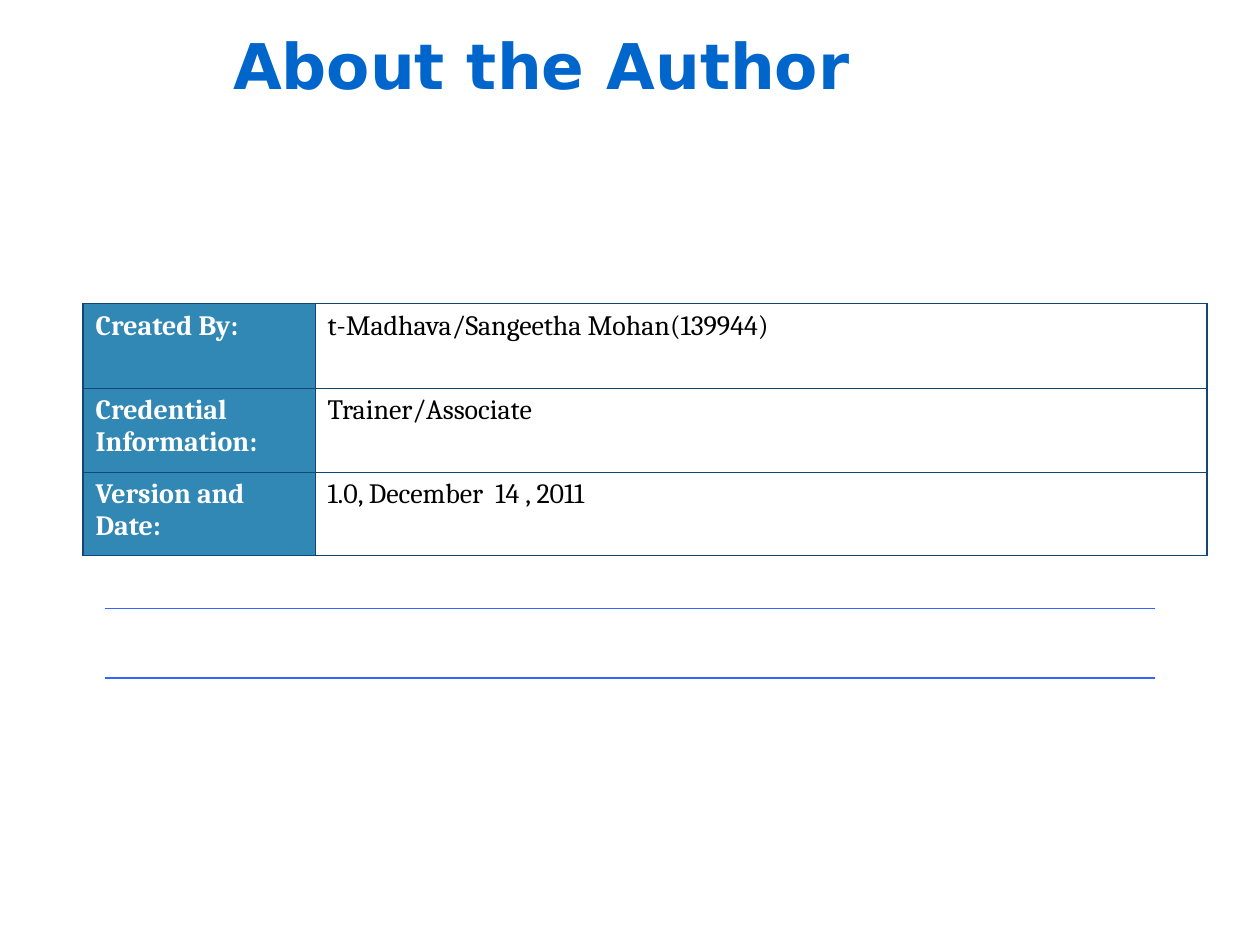
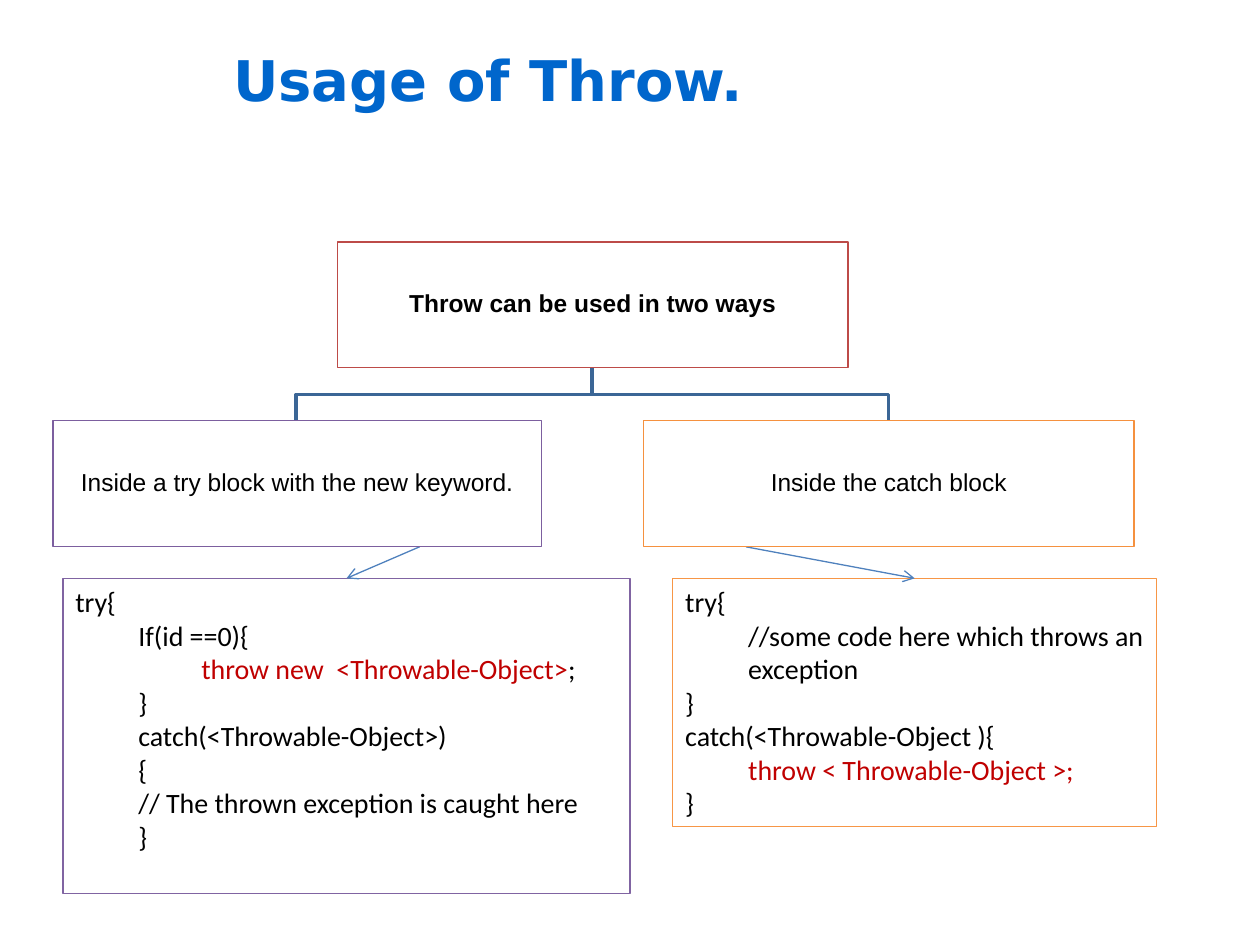
from dataclasses import dataclass

from lxml import etree
from pptx import Presentation
from pptx.dml.color import RGBColor
from pptx.enum.shapes import MSO_CONNECTOR, MSO_SHAPE
from pptx.enum.text import MSO_ANCHOR, MSO_AUTO_SIZE, PP_ALIGN
from pptx.oxml.ns import qn
from pptx.util import Inches, Pt

STRAIGHT = MSO_CONNECTOR.STRAIGHT
RECTANGLE = MSO_SHAPE.RECTANGLE
TOP, MIDDLE = MSO_ANCHOR.TOP, MSO_ANCHOR.MIDDLE
LEFT, CENTER = PP_ALIGN.LEFT, PP_ALIGN.CENTER
NO_AUTOFIT = MSO_AUTO_SIZE.NONE


@dataclass(frozen=True)
class Theme:
    title: str = "0066CC"
    text: str = "000000"
    white: str = "FFFFFF"
    label_fill: str = "3188B5"
    border: str = "134575"
    rule: str = "3366FF"
    rule_fill: str = "3188B4"
    tree: str = "3B6696"
    arrow: str = "4F81BD"
    keyword: str = "C00000"
    red: str = "BD4B48"
    purple: str = "7C5F9F"
    code_purple: str = "8064A2"
    orange: str = "F5913F"
    code_orange: str = "F79646"
    title_font: str = "DejaVu Sans"
    table_font: str = "Cambria"
    box_font: str = "Arial"
    code_font: str = "Calibri"
    body_size: int = 16
    box_size: int = 14
    thin: float = 0.75


T = Theme()


def style_font(font, name, size, color, bold=False):
    font.name, font.size, font.bold = name, Pt(size), bold
    font.color.rgb = RGBColor.from_string(color)


def style_shape(sp, line, fill=None, width=T.thin):
    """Set outline and fill, and take the shadow away."""
    sp.shadow.inherit = False
    sp.line.color.rgb = RGBColor.from_string(line)
    sp.line.width = Pt(width)
    if fill:
        sp.fill.solid()
        sp.fill.fore_color.rgb = RGBColor.from_string(fill)
    else:
        sp.fill.background()


prs = Presentation()
prs.slide_width, prs.slide_height = Inches(10), Inches(7.5)

# Titles of both slides
slides = []
for text, size, top, width, height in [
    ("About the Author", 36, 0.22, 7.5, 0.58),
    ("Usage of Throw.", 32, 0, 8.25, 1.25),
]:
    s = prs.slides.add_slide(prs.slide_layouts[5])
    title = s.shapes.title
    title.left, title.top = Inches(1.75), Inches(top)
    title.width, title.height = Inches(width), Inches(height)
    tf = title.text_frame
    tf.text = text
    tf.auto_size, tf.vertical_anchor = NO_AUTOFIT, MIDDLE
    p = tf.paragraphs[0]
    p.alignment = LEFT
    style_font(p.font, T.title_font, size, T.title, True)
    slides.append(s)
author_slide, throw_slide = slides

# Author table: label column filled, heavier outer border
facts = [
    ("Created By:", "t-Madhava/Sangeetha Mohan(139944)"),
    ("Credential Information:", "Trainer/Associate"),
    ("Version and Date:", "1.0, December  14 , 2011"),
]
last_row = len(facts) - 1
table = author_slide.shapes.add_table(
    len(facts), 2, Inches(0.66), Inches(2.41), Inches(8.92), Inches(2)
).table
table.first_row = table.horz_banding = False
table.columns[0].width, table.columns[1].width = Inches(1.84), Inches(7.08)
for row, fact in enumerate(facts):
    for col, text in enumerate(fact):
        is_label = col == 0
        cell = table.cell(row, col)
        cell.text = text
        p = cell.text_frame.paragraphs[0]
        p.space_before = Pt(4)
        style_font(p.font, T.table_font, T.body_size,
                   T.white if is_label else T.text, is_label)
        tc_pr = cell._tc.get_or_add_tcPr()
        for side, is_outer in [("L", col == 0), ("R", col == 1),
                               ("T", row == 0), ("B", row == last_row)]:
            width = Pt(1.08 if is_outer else 0.11)
            ln = etree.SubElement(tc_pr, qn(f"a:ln{side}"), w=str(width))
            fill = etree.SubElement(ln, qn("a:solidFill"))
            etree.SubElement(fill, qn("a:srgbClr"), val=T.border)
        if is_label:
            cell.fill.solid()
            cell.fill.fore_color.rgb = RGBColor.from_string(T.label_fill)
        else:
            cell.fill.background()

# Pair of rules under the table, one outline with two strokes
rule_left, rule_right = Inches(0.83), Inches(9.17)
upper_y, lower_y = Inches(4.83), Inches(5.38)
builder = author_slide.shapes.build_freeform(rule_left, upper_y)
builder.add_line_segments([(rule_right, upper_y)], close=False)
builder.move_to(rule_left, lower_y)
builder.add_line_segments([(rule_right, lower_y)], close=False)
style_shape(builder.convert_to_shape(), T.rule, T.rule_fill)

# Code boxes, each with the arrow that leads to it.
# A line of code is its indent level and its (text, color) runs.
try_code = [
    (0, [("try{", T.text)]),
    (1, [("If(id ==0){", T.text)]),
    (2, [("throw new  <Throwable-Object>", T.keyword), (";", T.text)]),
    (1, [("}", T.text)]),
    (1, [("catch(<Throwable-Object>)", T.text)]),
    (1, [("{", T.text)]),
    (1, [("// The thrown exception is caught here", T.text)]),
    (1, [("}", T.text)]),
]
catch_code = [
    (0, [("try{", T.text)]),
    (1, [("//some code here which throws an exception", T.text)]),
    (0, [("}", T.text)]),
    (0, [("catch(<Throwable-Object ){", T.text)]),
    (1, [("throw < Throwable-Object >;", T.keyword)]),
    (0, [("}", T.text)]),
]
code_top, box_height, root_top, branch_top = 4.585, 1, 1.915, 3.335
code_top, root_top, branch_top = 4.59, 1.92, 3.34
for code, left, width, height, color, arrow_x in [
    (try_code, 0.5, 4.5, 2.5, T.code_purple, 3.33),
    (catch_code, 5.34, 3.84, 1.97, T.code_orange, 5.92),
]:
    sp = throw_slide.shapes.add_shape(
        RECTANGLE, Inches(left), Inches(code_top), Inches(width), Inches(height))
    style_shape(sp, color, T.white)
    tf = sp.text_frame
    tf.word_wrap, tf.vertical_anchor = True, TOP
    for i, (level, runs) in enumerate(code):
        p = tf.add_paragraph() if i else tf.paragraphs[0]
        p.alignment, p.level = LEFT, level
        p._p.get_or_add_pPr().set("marL", str(Inches(0.5 * level)))
        for text, run_color in runs:
            r = p.add_run()
            r.text = text
            style_font(r.font, T.code_font, T.body_size, run_color)

    arrow = throw_slide.shapes.add_connector(
        STRAIGHT, Inches(arrow_x), Inches(branch_top + box_height),
        Inches(left + width / 2), Inches(code_top))
    arrow.end_connect(sp, 0)
    arrow.line.color.rgb = RGBColor.from_string(T.arrow)
    arrow.line.width = Pt(T.thin)
    etree.SubElement(arrow.line._get_or_add_ln(), qn("a:tailEnd"), type="arrow")
    etree.SubElement(arrow._element.spPr, qn("a:effectLst"))

# Tree: the root box branches to two boxes
root_x, root_bottom = 4.7, root_top + box_height
fork_y = (root_bottom + branch_top) / 2
for branch_x in (7.05, 2.35):
    builder = throw_slide.shapes.build_freeform(Inches(root_x), Inches(root_bottom))
    builder.add_line_segments(
        [(Inches(x), Inches(y)) for x, y in
         [(root_x, fork_y), (branch_x, fork_y), (branch_x, branch_top)]],
        close=False)
    style_shape(builder.convert_to_shape(), T.tree, width=2)

for text, left, top, width, color, bold in [
    ("Throw can be used in two ways", 2.68, root_top, 4.05, T.red, True),
    ("Inside a try block with the new keyword.", 0.42, branch_top, 3.88, T.purple, False),
    ("Inside the catch block", 5.11, branch_top, 3.89, T.orange, False),
]:
    sp = throw_slide.shapes.add_shape(
        RECTANGLE, Inches(left), Inches(top), Inches(width), Inches(box_height))
    style_shape(sp, color, T.white)
    tf = sp.text_frame
    tf.text = text
    tf.word_wrap, tf.vertical_anchor = True, MIDDLE
    tf.margin_left = tf.margin_right = tf.margin_top = tf.margin_bottom = Inches(0.01)
    p = tf.paragraphs[0]
    p.alignment, p.line_spacing = CENTER, 0.9
    style_font(p.font, T.box_font, T.box_size, T.text, bold)

prs.save("out.pptx")
